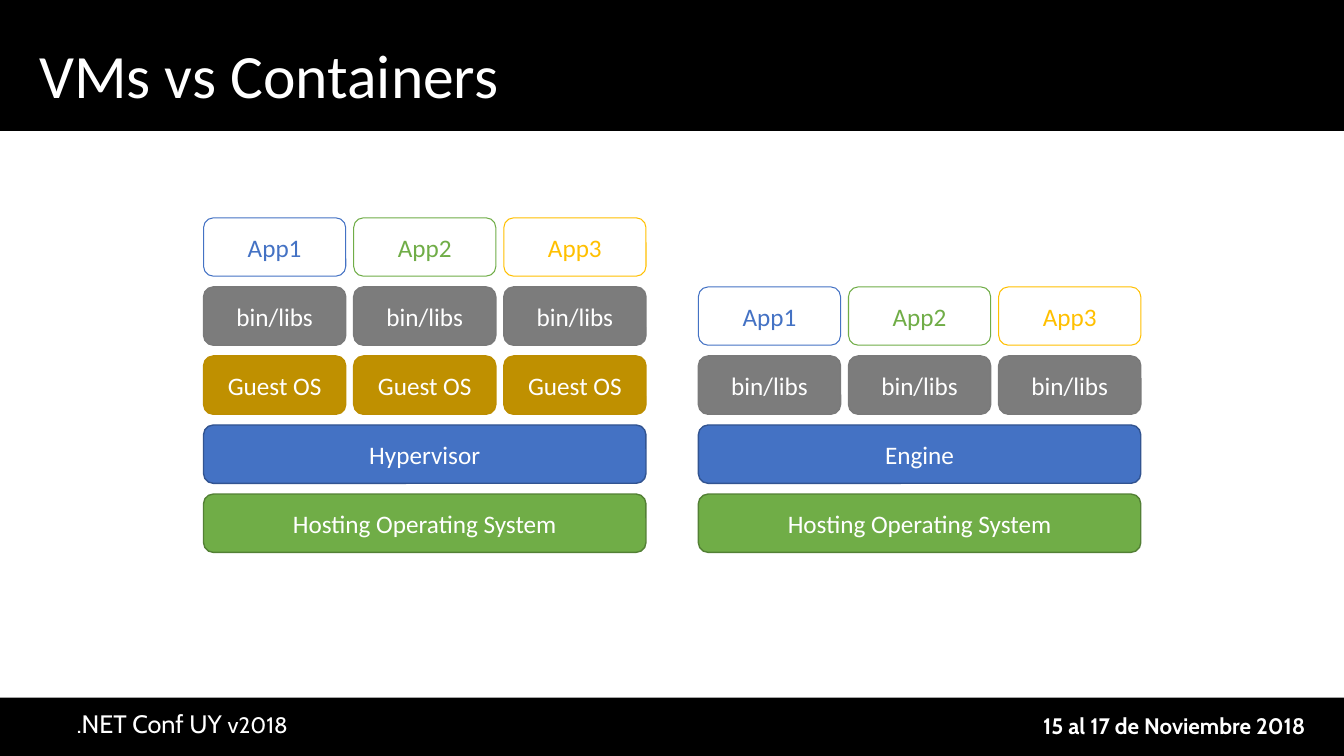
from pptx import Presentation
from pptx.dml.color import RGBColor
from pptx.enum.shapes import MSO_SHAPE as SHAPE
from pptx.enum.text import MSO_ANCHOR as ANCHOR, PP_ALIGN as ALIGN
from pptx.util import Cm, Pt

SLIDE_W, SLIDE_H = 33.87, 19.05
BLACK, WHITE = "000000", "FFFFFF"
BANDS = [(0, 3.3), (17.58, 1.47)]
TEXTS = [
    ((0.74, 1.02, 32.36, 2.29), [("VMs vs Containers", 44)], "Calibri", False, ALIGN.LEFT, 0.9),
    ((1.68, 17.73, 8.38, 1.02), [(".NET Conf UY ", 18), ("v2018", 16)], "Cabin", False, ALIGN.LEFT, 1.0),
    ((25.4, 17.83, 7.75, 0.94), [("15 al 17 de Noviembre 2018", 16)], "Cabin", True, ALIGN.RIGHT, 1.0),
]

HOST = [("Hosting Operating System", "70AD47", "538035", WHITE)]
GUESTS = [("Guest OS", "BF9000", "BD8E00", WHITE)] * 3
LIBS = [("bin/libs", "7C7C7C", "7A7A7A", WHITE)] * 3
APPS = [
    ("App1", None, "4472C4", "4472C4"),
    ("App2", None, "70AD47", "70AD47"),
    ("App3", None, "FFC000", "FFC000"),
]
STACKS = [
    (5.13, [HOST, [("Hypervisor", "4472C4", "325491", WHITE)], GUESTS, LIBS, APPS]),
    (17.6, [HOST, [("Engine", "4472C4", "325491", WHITE)], LIBS, APPS]),
]
STACK_W, BOX_H, BOX_GAP = 11.15, 1.47, 0.2
BASE_TOP, ROW_STEP = 12.45, 1.74


def rgb(value):
    return RGBColor.from_string(value)


def add_box(slide, kind, box, fill, line=None, line_w=1):
    sp = slide.shapes.add_shape(kind, *map(Cm, box))
    sp.shadow.inherit = False
    if fill:
        sp.fill.solid()
        sp.fill.fore_color.rgb = rgb(fill)
    else:
        sp.fill.background()
    if line:
        sp.line.color.rgb = rgb(line)
        sp.line.width = Pt(line_w)
    else:
        sp.line.fill.background()
    return sp


def write(tf, runs, font, color, align, bold=False, spacing=1.0):
    tf.word_wrap = True
    p = tf.paragraphs[0]
    p.alignment = align
    p.line_spacing = spacing
    for text, size in runs:
        r = p.add_run()
        r.text = text
        r.font.size = Pt(size)
        r.font.name = font
        r.font.bold = bold
        r.font.color.rgb = rgb(color)


def add_stack(slide, left, rows):
    for level, row in enumerate(rows):
        width = (STACK_W - BOX_GAP * (len(row) - 1)) / len(row)
        top = BASE_TOP - level * ROW_STEP
        for col, (label, fill, line, color) in enumerate(row):
            box = (left + col * (width + BOX_GAP), top, width, BOX_H)
            sp = add_box(slide, SHAPE.ROUNDED_RECTANGLE, box, fill, line, 1 if fill else 0.75)
            sp.text_frame.vertical_anchor = ANCHOR.MIDDLE
            write(sp.text_frame, [(label, 18)], "Calibri", color, ALIGN.CENTER)


def main():
    """Build the slide comparing virtual machines with containers."""
    prs = Presentation()
    prs.slide_width, prs.slide_height = Cm(SLIDE_W), Cm(SLIDE_H)
    slide = prs.slides.add_slide(prs.slide_layouts[6])
    for top, height in BANDS:
        add_box(slide, SHAPE.RECTANGLE, (0, top, SLIDE_W, height), BLACK)
    for box, runs, font, bold, align, spacing in TEXTS:
        tf = slide.shapes.add_textbox(*map(Cm, box)).text_frame
        write(tf, runs, font, WHITE, align, bold, spacing)
    for left, rows in STACKS:
        add_stack(slide, left, rows)
    prs.save("out.pptx")


if __name__ == "__main__":
    main()
